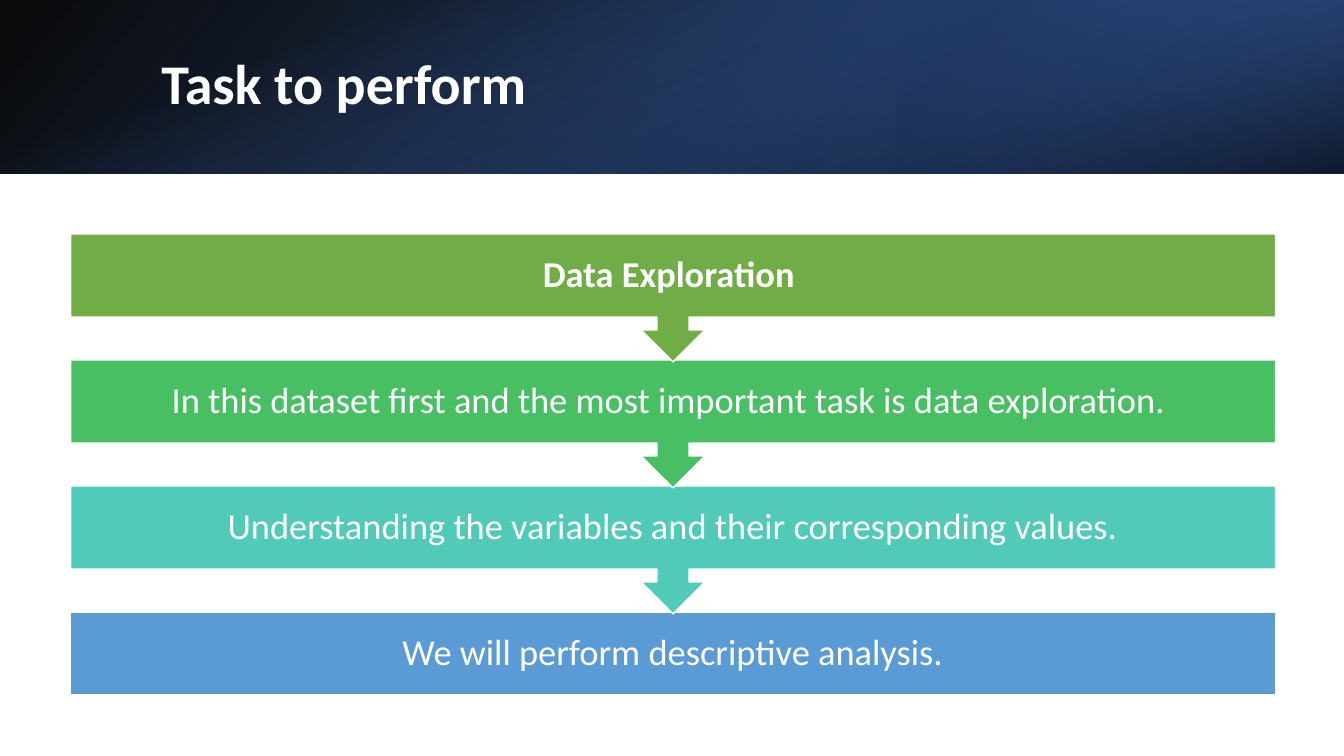
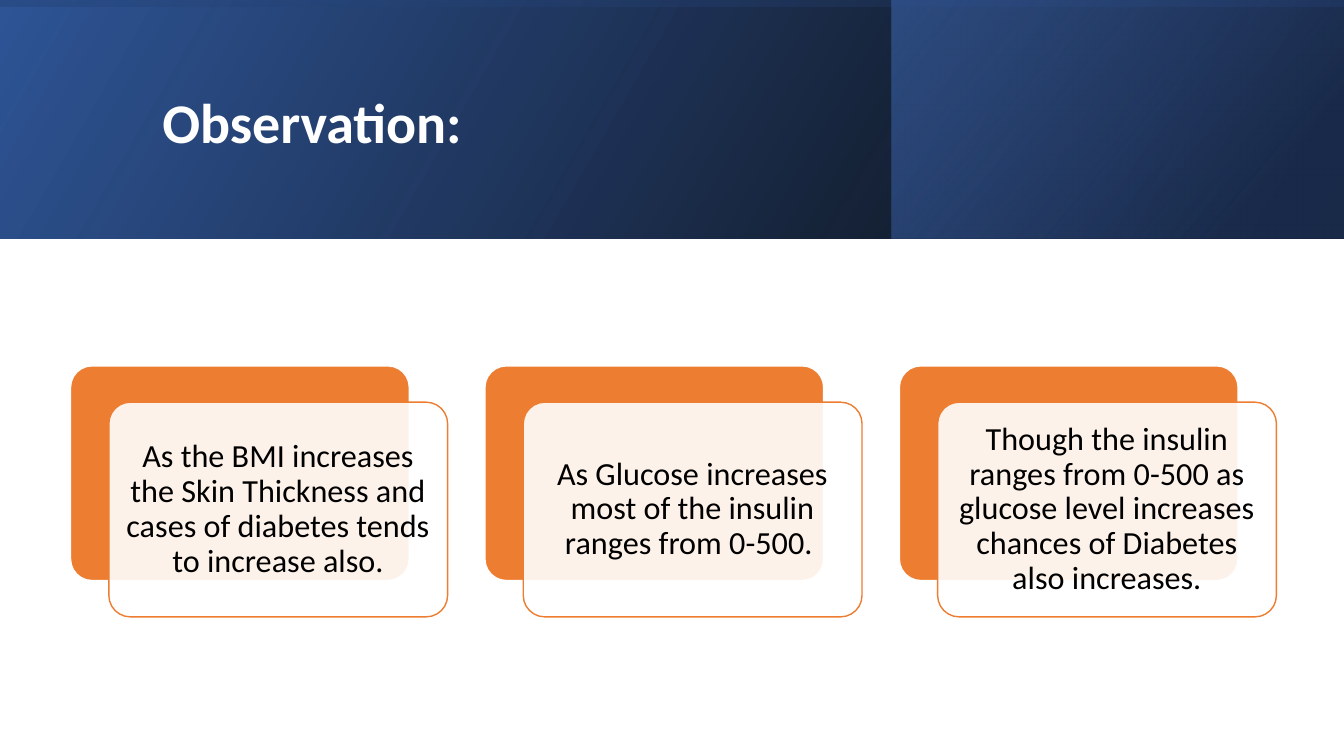
from dataclasses import dataclass

from lxml import etree
from pptx import Presentation
from pptx.dml.color import RGBColor
from pptx.enum.shapes import MSO_SHAPE
from pptx.enum.text import MSO_ANCHOR, MSO_AUTO_SIZE, PP_ALIGN
from pptx.oxml.ns import qn
from pptx.shapes.autoshape import Shape
from pptx.slide import Slide
from pptx.util import Inches, Pt

RECTANGLE = MSO_SHAPE.RECTANGLE
ROUNDED = MSO_SHAPE.ROUNDED_RECTANGLE
CALLOUT = MSO_SHAPE.DOWN_ARROW_CALLOUT
MIDDLE = MSO_ANCHOR.MIDDLE
NO_AUTOFIT = MSO_AUTO_SIZE.NONE
LEFT = PP_ALIGN.LEFT
CENTER = PP_ALIGN.CENTER

WHITE = RGBColor(0xFF, 0xFF, 0xFF)
BLACK = RGBColor(0x00, 0x00, 0x00)
NAVY = RGBColor(0x20, 0x38, 0x64)
DEEP_BLUE = RGBColor(0x2F, 0x55, 0x97)
BLUE = RGBColor(0x44, 0x72, 0xC4)
SKY = RGBColor(0x5B, 0x9B, 0xD5)
TEAL = RGBColor(0x52, 0xCA, 0xB8)
EMERALD = RGBColor(0x49, 0xBF, 0x64)
GREEN = RGBColor(0x70, 0xAD, 0x47)
ORANGE = RGBColor(0xED, 0x7D, 0x31)

FONT = "Calibri"
SLIDE_WIDTH = 13.33
SLIDE_HEIGHT = 7.5
TITLE_ONLY_LAYOUT = 5

STEP_TOP = 2.32
STEP_PITCH = 1.25
STEP_HEIGHT = 0.82
CALLOUT_HEIGHT = 1.27

CARD_PITCH = 4.11
CARD_OFFSET_X = 0.38
CARD_OFFSET_Y = 0.36


@dataclass(frozen=True)
class Box:
    left: float
    top: float
    width: float
    height: float


@dataclass(frozen=True)
class Stop:
    position: int
    color: RGBColor
    opacity: int


@dataclass(frozen=True)
class BandLayer:
    left: float
    stops: tuple[Stop, Stop]
    angle: int
    rotation: int = 0
    flipped: bool = True


@dataclass(frozen=True)
class Header:
    title: str
    title_box: Box
    band_height: float
    layers: tuple[BandLayer, ...]


@dataclass(frozen=True)
class Step:
    text: str
    color: RGBColor
    bold: bool = False


TASK_HEADER = Header("Task to perform", Box(1.5, 0.38, 10.98, 0.96), 1.72, (
    BandLayer(0, (Stop(0, BLACK, 96), Stop(100, DEEP_BLUE, 100)), 140),
    BandLayer(8.89, (Stop(19, NAVY, 68), Stop(100, BLUE, 79)), 320, rotation=180),
    BandLayer(0, (Stop(23, BLUE, 0), Stop(99, BLACK, 74)), 340, rotation=90, flipped=False),
))
OBSERVATION_HEADER = Header("Observation:", Box(1.51, 0.38, 10.63, 1.72), 2.37, (
    BandLayer(0, (Stop(0, BLACK, 96), Stop(100, DEEP_BLUE, 100)), 330),
    BandLayer(8.84, (Stop(19, NAVY, 68), Stop(100, BLUE, 48)), 320),
    BandLayer(0, (Stop(23, DEEP_BLUE, 16), Stop(99, BLACK, 45)), 350, rotation=270),
))
STEPS = (
    Step("Data Exploration ", GREEN, bold=True),
    Step("In this dataset first and the most important task is data exploration. ", EMERALD),
    Step("Understanding the variables and their corresponding values.", TEAL),
    Step("We will perform descriptive analysis.", SKY),
)
OBSERVATIONS = (
    "As the BMI increases the Skin Thickness and cases of diabetes tends to increase also.",
    "As Glucose increases most of the insulin ranges from 0-500. ",
    "Though the insulin ranges from 0-500 as glucose level increases chances of Diabetes also increases.",
)


def set_opacity(color_element: etree._Element, opacity: int) -> None:
    etree.SubElement(color_element, qn("a:alpha"), val=str(opacity * 1000))


def add_box(slide: Slide, kind: MSO_SHAPE, box: Box) -> Shape:
    shape = slide.shapes.add_shape(
        kind, Inches(box.left), Inches(box.top), Inches(box.width), Inches(box.height))
    shape.shadow.inherit = False
    return shape


def add_panel(slide: Slide, kind: MSO_SHAPE, box: Box, fill: RGBColor, line: RGBColor) -> Shape:
    shape = add_box(slide, kind, box)
    shape.fill.solid()
    shape.fill.fore_color.rgb = fill
    shape.line.color.rgb = line
    shape.line.width = Pt(1)
    return shape


def write_text(shape: Shape, text: str, size: int, color: RGBColor,
               alignment: PP_ALIGN = CENTER, bold: bool = False) -> None:
    frame = shape.text_frame
    frame.text = text
    frame.word_wrap = True
    frame.auto_size = NO_AUTOFIT
    frame.vertical_anchor = MIDDLE
    paragraph = frame.paragraphs[0]
    paragraph.alignment = alignment
    paragraph.line_spacing = 0.9
    paragraph.font.name = FONT
    paragraph.font.size = Pt(size)
    paragraph.font.bold = bold
    paragraph.font.color.rgb = color


def set_insets(shape: Shape, inset: float) -> None:
    frame = shape.text_frame
    frame.margin_left = frame.margin_right = Inches(inset)
    frame.margin_top = frame.margin_bottom = Inches(inset)


def add_band_layer(slide: Slide, layer: BandLayer, height: float) -> None:
    width = SLIDE_WIDTH - layer.left
    box = Box(layer.left, 0, width, height)
    if layer.rotation in (90, 270):
        shift = (width - height) / 2
        box = Box(layer.left + shift, -shift, height, width)
    shape = add_box(slide, RECTANGLE, box)
    shape.rotation = layer.rotation
    shape.line.fill.background()
    properties = shape.element.spPr
    if layer.flipped:
        properties.find(qn("a:xfrm")).set("flipH", "1")
    gradient = etree.Element(qn("a:gradFill"))
    stop_list = etree.SubElement(gradient, qn("a:gsLst"))
    for stop in layer.stops:
        stop_element = etree.SubElement(stop_list, qn("a:gs"), pos=str(stop.position * 1000))
        color_element = etree.SubElement(stop_element, qn("a:srgbClr"), val=str(stop.color))
        set_opacity(color_element, stop.opacity)
    etree.SubElement(gradient, qn("a:lin"), ang=str(layer.angle * 60000), scaled="0")
    properties.find(qn("a:prstGeom")).addnext(gradient)


def add_headed_slide(presentation: Presentation, header: Header) -> Slide:
    slide = presentation.slides.add_slide(presentation.slide_layouts[TITLE_ONLY_LAYOUT])
    for layer in header.layers:
        add_band_layer(slide, layer, header.band_height)
    title = slide.shapes.title
    title.left, title.top = Inches(header.title_box.left), Inches(header.title_box.top)
    title.width, title.height = Inches(header.title_box.width), Inches(header.title_box.height)
    write_text(title, header.title, 40, WHITE, LEFT, bold=True)
    title.element.getparent().append(title.element)
    return slide


def add_steps(slide: Slide) -> None:
    last = len(STEPS) - 1
    for index, step in reversed(list(enumerate(STEPS))):
        kind, height = (RECTANGLE, STEP_HEIGHT) if index == last else (CALLOUT, CALLOUT_HEIGHT)
        box = Box(0.7, STEP_TOP + index * STEP_PITCH, 11.95, height)
        shape = add_panel(slide, kind, box, step.color, WHITE)
        set_insets(shape, 0.2)
        write_text(shape, step.text, 26, WHITE, bold=step.bold)


def add_cards(slide: Slide) -> None:
    for index, text in enumerate(OBSERVATIONS):
        back = Box(0.7 + index * CARD_PITCH, 3.63, 3.36, 2.13)
        front = Box(back.left + CARD_OFFSET_X, back.top + CARD_OFFSET_Y, back.width, back.height)
        back_card = add_panel(slide, ROUNDED, back, ORANGE, WHITE)
        front_card = add_panel(slide, ROUNDED, front, WHITE, ORANGE)
        for card in (back_card, front_card):
            card.adjustments[0] = 0.1
        fill_color = front_card.element.spPr.find(qn("a:solidFill")).find(qn("a:srgbClr"))
        set_opacity(fill_color, 90)
        set_insets(front_card, 0.1)
        write_text(front_card, text, 23, BLACK)


def main() -> None:
    presentation = Presentation()
    presentation.slide_width = Inches(SLIDE_WIDTH)
    presentation.slide_height = Inches(SLIDE_HEIGHT)
    add_steps(add_headed_slide(presentation, TASK_HEADER))
    add_cards(add_headed_slide(presentation, OBSERVATION_HEADER))
    presentation.save("out.pptx")


if __name__ == "__main__":
    main()
